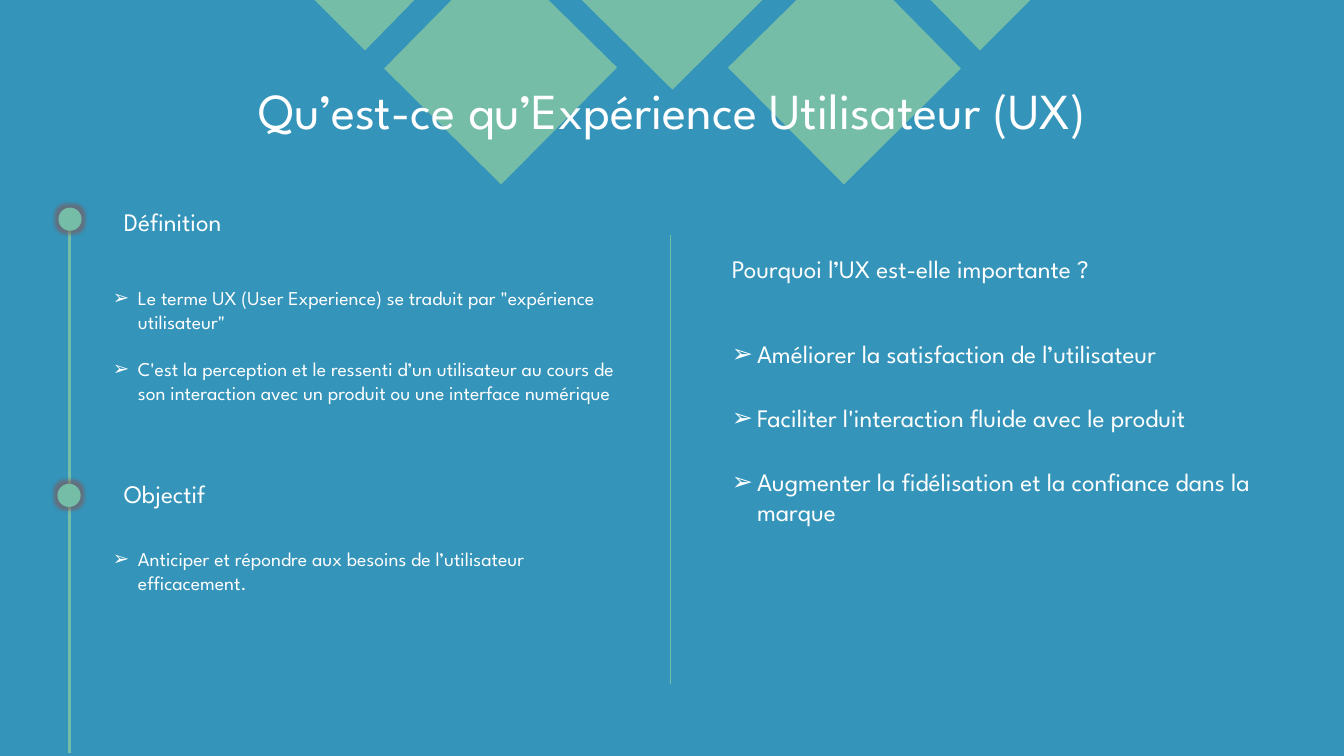
from lxml.etree import SubElement
from pptx import Presentation
from pptx.dml.color import RGBColor
from pptx.enum.shapes import MSO_CONNECTOR, MSO_SHAPE
from pptx.enum.text import MSO_ANCHOR, PP_ALIGN
from pptx.oxml.ns import qn
from pptx.util import Inches, Pt

COLORS = {"background": "3494BA", "accent": "75BDA7", "text": "FFFFFF", "glow": "805A5A"}
FONT = "League Spartan"
CENTER = 6.67
CENTER_TRIANGLE = [(5.77, 0), (7.56, 0), (CENTER, 0.89)]
LEFT_DIAMONDS = [
    [(4.48, 0), (5.44, 0), (6.12, 0.67), (4.97, 1.83), (3.81, 0.68)],
    [(3.12, 0), (4.11, 0), (3.62, 0.5)],
]
HEADINGS = [
    ("Définition", 1.13, 2),
    ("Pourquoi l’UX est-elle importante ?", 7.16, 2.46),
    ("Objectif", 1.13, 4.7),
]
DEFINITION = [
    'Le terme UX (User Experience) se traduit par "expérience utilisateur"',
    "C'est la perception et le ressenti d’un utilisateur au cours de son interaction "
    "avec un produit ou une interface numérique",
]
OBJECTIVE = ["Anticiper et répondre aux besoins de l’utilisateur efficacement."]
REASONS = [
    "Améliorer la satisfaction de l’utilisateur",
    "Faciliter l'interaction fluide avec le produit",
    "Augmenter la fidélisation et la confiance dans la marque",
]


def color(name):
    return RGBColor.from_string(COLORS[name])


def paint(shape):
    shape.shadow.inherit = False
    shape.fill.solid()
    shape.fill.fore_color.rgb = color("accent")
    shape.line.fill.background()


def add_polygon(page, points):
    corners = [(Inches(x), Inches(y)) for x, y in points]
    builder = page.shapes.build_freeform(*corners[0])
    builder.add_line_segments(corners[1:], close=True)
    paint(builder.convert_to_shape())


def add_line(page, x, top, bottom, width):
    line = page.shapes.add_connector(
        MSO_CONNECTOR.STRAIGHT, Inches(x), Inches(top), Inches(x), Inches(bottom))
    line.line.color.rgb = color("accent")
    line.line.width = Pt(width)
    SubElement(line._element.spPr, qn("a:effectLst"))


def add_dot(page, left, top):
    size = Inches(0.23)
    dot = page.shapes.add_shape(MSO_SHAPE.OVAL, Inches(left), Inches(top), size, size)
    paint(dot)
    effects = dot._element.spPr.find(qn("a:effectLst"))
    glow = SubElement(effects, qn("a:glow"), rad=str(Pt(5)))
    tint = SubElement(glow, qn("a:srgbClr"), val=COLORS["glow"])
    SubElement(tint, qn("a:alpha"), val="60000")


def add_bullet(para):
    properties = para._p.get_or_add_pPr()
    properties.set("marL", str(Inches(0.25)))
    properties.set("indent", str(Inches(-0.25)))
    SubElement(properties, qn("a:buFont"), typeface="Arial")
    SubElement(properties, qn("a:buChar"), char="➢")


def add_text(page, lines, left, top, width, height, size, bullets=False, gap=0):
    box = page.shapes.add_textbox(Inches(left), Inches(top), Inches(width), Inches(height))
    frame = box.text_frame
    frame.word_wrap = True
    for index, line in enumerate(lines):
        para = frame.add_paragraph() if index else frame.paragraphs[0]
        if bullets:
            add_bullet(para)
        para.space_after = Pt(gap)
        span = para.add_run()
        span.text = line
        span.font.name = FONT
        span.font.size = Pt(size)
        span.font.color.rgb = color("text")
    return frame


def add_title(page, text):
    frame = add_text(page, [text], 0.23, 0.4, 12.88, 1.45, 36)
    frame.vertical_anchor = MSO_ANCHOR.MIDDLE
    frame.paragraphs[0].alignment = PP_ALIGN.CENTER
    frame.paragraphs[0].line_spacing = 0.9


def main():
    deck = Presentation()
    deck.slide_width, deck.slide_height = Inches(13.33), Inches(7.5)
    page = deck.slides.add_slide(deck.slide_layouts[6])
    page.background.fill.solid()
    page.background.fill.fore_color.rgb = color("background")

    add_polygon(page, CENTER_TRIANGLE)
    for diamond in LEFT_DIAMONDS:
        add_polygon(page, diamond)
        add_polygon(page, [(2 * CENTER - x, y) for x, y in diamond])

    add_line(page, 0.69, 2.15, 7.47, 2.25)
    add_dot(page, 0.58, 2.06)
    add_dot(page, 0.57, 4.8)
    add_line(page, 6.65, 2.33, 6.79, 0.5)

    add_title(page, "Qu’est-ce qu’Expérience Utilisateur (UX)")
    for heading, left, top in HEADINGS:
        add_text(page, [heading], left, top, 5.55, 0.53, 18)
    add_text(page, DEFINITION, 1.02, 2.79, 5.35, 1.77, 14, bullets=True, gap=17)
    add_text(page, OBJECTIVE, 1.02, 5.38, 5.35, 0.78, 14, bullets=True)
    add_text(page, REASONS, 7.16, 3.31, 5.92, 2.31, 18, bullets=True, gap=24)
    deck.save("out.pptx")


if __name__ == "__main__":
    main()
